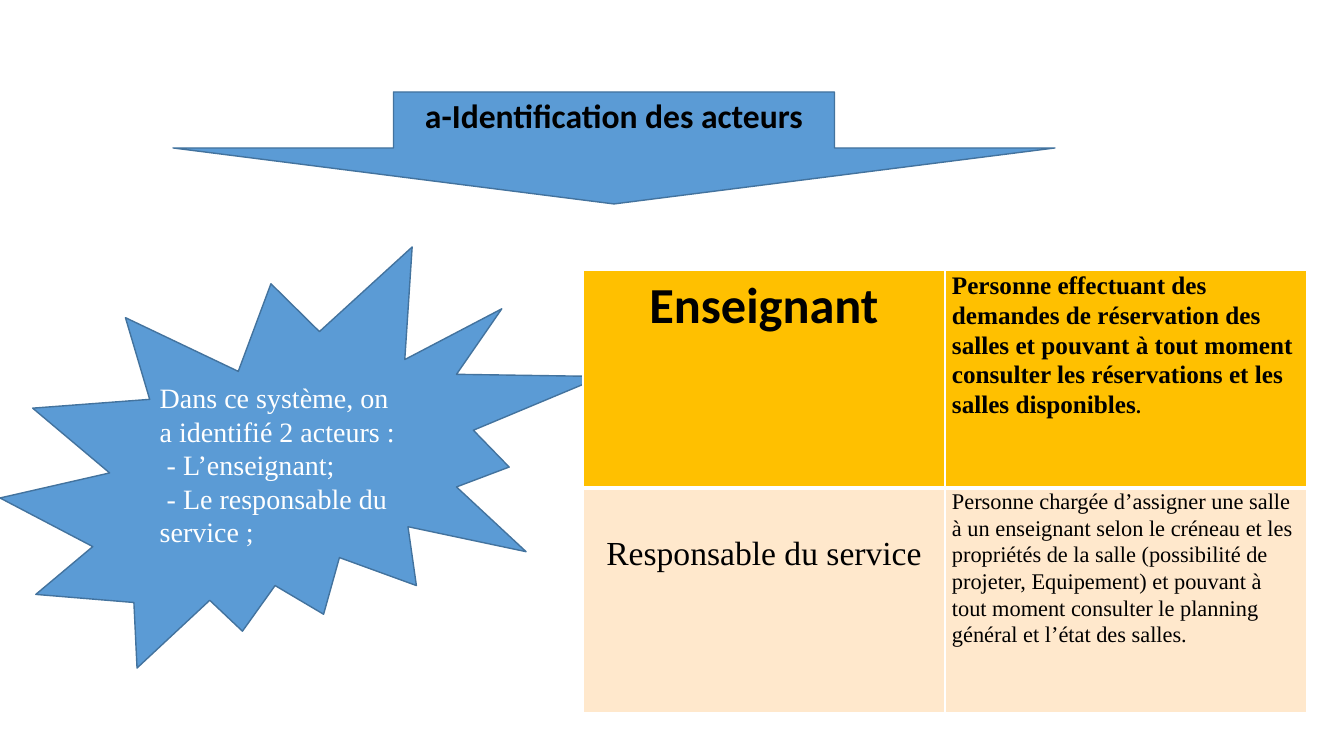
from lxml import etree
from pptx import Presentation
from pptx import util as u
from pptx.dml.color import RGBColor
from pptx.enum import shapes, text
from pptx.oxml.ns import qn

SCALE = 914400 / 100.8
SERIF = "Times New Roman"
SANS = "Calibri"
BLUE, BLUE_EDGE = "5B9BD5", "43739E"
AMBER, PEACH = "FFC000", "FFE8CC"
BLACK, WHITE = "000000", "FFFFFF"
LEFT, CENTER = text.PP_ALIGN.LEFT, text.PP_ALIGN.CENTER


def px(length):
    """Turn pixels into EMU."""
    return u.Emu(round(length * SCALE))


def color(hex_value):
    """Turn a hex string into a colour."""
    return RGBColor.from_string(hex_value)


def set_margins(holder, left, top, right, bottom):
    """Set the inner margins of a text frame or a cell."""
    holder.margin_left, holder.margin_top = px(left), px(top)
    holder.margin_right, holder.margin_bottom = px(right), px(bottom)


def add_run(paragraph, words, size, font=SERIF, ink=BLACK, bold=False):
    """Add one formatted run to a paragraph."""
    run = paragraph.add_run()
    run.text = words
    run.font.size = u.Pt(size)
    run.font.name = font
    run.font.bold = bold
    run.font.color.rgb = color(ink)


def add_figure(slide, preset, box, anchor):
    """Add a blue preset shape and return its text frame."""
    figure = slide.shapes.add_shape(preset, *map(px, box))
    figure.shadow.inherit = False
    figure.fill.solid()
    figure.fill.fore_color.rgb = color(BLUE)
    figure.line.color.rgb = color(BLUE_EDGE)
    figure.line.width = u.Pt(1)
    frame = figure.text_frame
    frame.word_wrap = True
    frame.vertical_anchor = anchor
    return frame


def add_title(slide):
    """Add the title arrow."""
    frame = add_figure(slide, shapes.MSO_SHAPE.DOWN_ARROW,
                       (173, 92, 882, 112), text.MSO_ANCHOR.TOP)
    set_margins(frame, 10, 3, 10, 3)
    title = frame.paragraphs[0]
    title.alignment = CENTER
    add_run(title, "a-Identification des acteurs", 24, SANS, bold=True)


def add_summary(slide):
    """Add the burst that lists the actors."""
    frame = add_figure(slide, shapes.MSO_SHAPE.EXPLOSION2,
                       (0, 247, 602, 421), text.MSO_ANCHOR.MIDDLE)
    set_margins(frame, 10, 5, 10, 5)
    lines = (("Dans ce système, on a identifié 2 acteurs :", 0),
             ("- L’enseignant;", 7),
             ("- Le responsable du service ;", 7))
    for number, (words, indent) in enumerate(lines):
        line = frame.add_paragraph() if number else frame.paragraphs[0]
        line.alignment = LEFT
        line._p.get_or_add_pPr().set("indent", str(px(indent)))
        add_run(line, words, 20, ink=WHITE)


def add_borders(cell, top, bottom):
    """Draw white borders around a cell."""
    properties = cell._tc.get_or_add_tcPr()
    for side, width in (("L", 1), ("R", 1), ("T", top), ("B", bottom)):
        border = etree.SubElement(properties, qn(f"a:ln{side}"), w=str(u.Pt(width)))
        fill = etree.SubElement(border, qn("a:solidFill"))
        etree.SubElement(fill, qn("a:srgbClr"), val=WHITE)


def fill_cell(cell, background, margins, alignment, spacing, runs):
    """Fill a cell and write its single paragraph."""
    cell.fill.solid()
    cell.fill.fore_color.rgb = color(background)
    set_margins(cell, *margins)
    paragraph = cell.text_frame.paragraphs[0]
    paragraph.alignment = alignment
    paragraph.line_spacing = spacing
    for words, size, font, bold in runs:
        add_run(paragraph, words, size, font, bold=bold)


def add_actors(slide):
    """Add the table that describes each actor."""
    table = slide.shapes.add_table(2, 2, *map(px, (583, 270, 724, 443))).table
    for column in table.columns:
        column.width = px(362)
    for row, height in zip(table.rows, (218, 225)):
        row.height = px(height)
    teacher_role = ("Personne effectuant des demandes de réservation des salles "
                    "et pouvant à tout moment consulter les réservations et les "
                    "salles disponibles")
    manager_role = ("Personne chargée d’assigner une salle à un enseignant selon "
                    "le créneau et les propriétés de la salle (possibilité de "
                    "projeter, Equipement) et pouvant à tout moment consulter le "
                    "planning général et l’état des salles.")
    actors = (
        (AMBER, (1, 3),
         ((10, 5, 10, 5), CENTER, 1.0, [("Enseignant", 36, SANS, True)]),
         ((7, 0, 7, 0), LEFT, 1.07, [(teacher_role, 18, SERIF, True),
                                     (".", 14, SERIF, True)])),
        (PEACH, (3, 1),
         ((7, 45, 7, 0), CENTER, 1.07,
          [("Responsable du service", 24, SERIF, False)]),
         ((7, 0, 7, 0), LEFT, 1.07, [(manager_role, 16, SERIF, False)])),
    )
    for row, (background, edges, *contents) in zip(table.rows, actors):
        for cell, content in zip(row.cells, contents):
            add_borders(cell, *edges)
            fill_cell(cell, background, *content)


def main():
    """Build the slide and save it."""
    deck = Presentation()
    deck.slide_width, deck.slide_height = px(1344), px(756)
    slide = deck.slides.add_slide(deck.slide_layouts[6])
    add_title(slide)
    add_summary(slide)
    add_actors(slide)
    deck.save("out.pptx")


if __name__ == "__main__":
    main()
